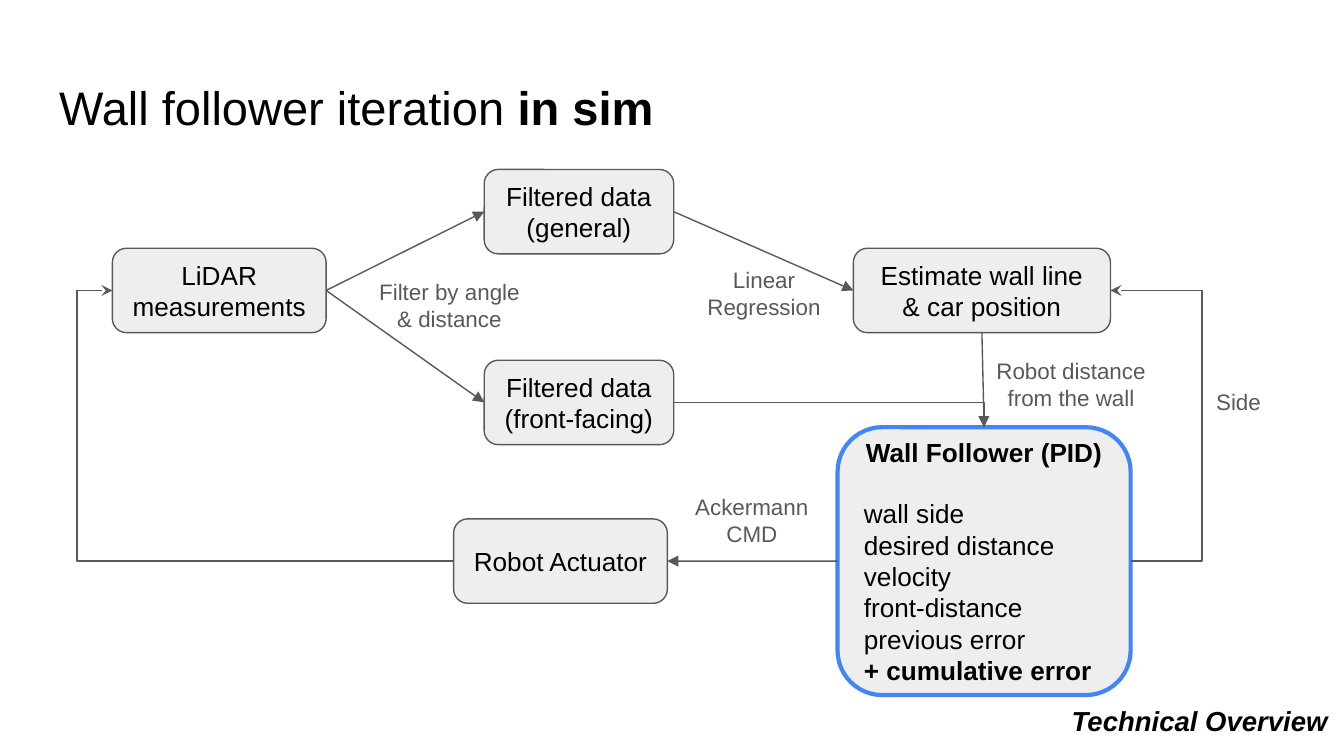
from dataclasses import dataclass

from lxml import etree
from pptx import Presentation
from pptx.dml.color import RGBColor
from pptx.enum import shapes, text
from pptx.oxml import ns
from pptx.util import Pt

TOP, LEFT, BOTTOM, RIGHT = range(4)
CENTER = text.PP_ALIGN.CENTER


@dataclass(frozen=True)
class Theme:
    """Colours, font and type sizes of the slide."""
    font: str = "Arial"
    ink: str = "000000"
    muted: str = "595959"
    fill: str = "EEEEEE"
    accent: str = "4285F4"
    title: float = 25.2
    body: float = 14
    label: float = 12
    footer: float = 14.7
    inset: float = 7.2
    thin: float = 0.75
    thick: float = 2.25


T = Theme()


def add_run(p, words, size=T.body, color=T.ink, bold=False, italic=False):
    """Append a formatted run to a paragraph."""
    r = p.add_run()
    r.text = words
    f = r.font
    f.name, f.size, f.bold, f.italic = T.font, Pt(size), bold, italic
    f.color.rgb = RGBColor.from_string(color)
    return r


def set_frame(tf, anchor=text.MSO_ANCHOR.TOP):
    """Give a text frame the common insets, wrapping and anchor."""
    tf.word_wrap = True
    tf.auto_size = text.MSO_AUTO_SIZE.NONE
    tf.vertical_anchor = anchor
    tf.margin_left = tf.margin_right = tf.margin_top = tf.margin_bottom = Pt(T.inset)
    return tf


def add_title(s, box, plain, strong):
    """Place the title with its closing words in bold."""
    sp = s.shapes.title
    sp.left, sp.top, sp.width, sp.height = map(Pt, box)
    p = set_frame(sp.text_frame).paragraphs[0]
    p.alignment = text.PP_ALIGN.LEFT
    add_run(p, plain, size=T.title)
    add_run(p, strong, size=T.title, bold=True)


def add_text(s, box, words, align=CENTER, **style):
    """Place a one-paragraph text box."""
    tf = set_frame(s.shapes.add_textbox(*map(Pt, box)).text_frame)
    p = tf.paragraphs[0]
    p.alignment = align
    add_run(p, words, **style)


def add_node(s, box, words, bold=False, line=T.muted, width=T.thin):
    """Place a rounded box with a centred heading."""
    sp = s.shapes.add_shape(shapes.MSO_SHAPE.ROUNDED_RECTANGLE, *map(Pt, box))
    sp.shadow.inherit = False
    sp.fill.solid()
    sp.fill.fore_color.rgb = RGBColor.from_string(T.fill)
    sp.line.color.rgb = RGBColor.from_string(line)
    sp.line.width = Pt(width)
    p = set_frame(sp.text_frame, text.MSO_ANCHOR.MIDDLE).paragraphs[0]
    p.alignment = CENTER
    add_run(p, words, bold=bold)
    return sp


def add_controller(s, box, heading, items):
    """Place the highlighted node with its list, the last item in bold."""
    sp = add_node(s, box, heading, bold=True, line=T.accent, width=T.thick)
    for i, item in enumerate(items):
        p = sp.text_frame.add_paragraph()
        p.alignment = text.PP_ALIGN.LEFT
        p.space_before = Pt(0 if i else 16)
        add_run(p, item, bold=item == items[-1])
    return sp


def add_flow(s, start, end, kind="line", head="triangle", via=None):
    """Join two (node, site) pairs, routing a loop through x = via."""
    c = s.shapes.add_connector(shapes.MSO_CONNECTOR.STRAIGHT, 0, 0, 0, 0)
    c.begin_connect(*start)
    c.end_connect(*end)
    c.line.color.rgb = RGBColor.from_string(T.muted)
    c.line.width = Pt(T.thin)
    pr = c._element.spPr
    geom = pr.find(ns.qn("a:prstGeom"))
    geom.set("prst", kind)
    if via is not None:
        ratio = (Pt(via) - c.begin_x) / (c.end_x - c.begin_x)
        av = geom.find(ns.qn("a:avLst"))
        etree.SubElement(av, ns.qn("a:gd"), name="adj1", fmla=f"val {round(ratio * 100000)}")
        xfrm = pr.find(ns.qn("a:xfrm"))
        xfrm.attrib.clear()
        xfrm.set("rot", "10800000")
    if head:
        etree.SubElement(c.line._get_or_add_ln(), ns.qn("a:tailEnd"), type=head)
    etree.SubElement(pr, ns.qn("a:effectLst"))


def add_diagram(s, box):
    """Draw the control loop inside the box."""
    x, y, w, h = box
    tall = 45.2

    def at(dx, dy, width, height=tall):
        return x + dx, y + dy, width, height

    lidar = add_node(s, at(19, 42.2, 114.5), "LiDAR measurements")
    general = add_node(s, at(218.2, 0, 101.5), "Filtered data (general)")
    front = add_node(s, at(218.2, 102.2, 101.5), "Filtered data (front-facing)")
    estimate = add_node(s, at(416, 42.2, 137.7), "Estimate wall line & car position")
    actuator = add_node(s, at(201.8, 187.2, 114.5), "Robot Actuator")
    pid = add_controller(s, at(407.5, 138.1, 157, h - 138.1), "Wall Follower (PID)", [
        "wall side", "desired distance", "velocity", "front-distance",
        "previous error", "+ cumulative error"])

    for start, end in [
        ((lidar, RIGHT), (general, LEFT)),
        ((lidar, RIGHT), (front, LEFT)),
        ((general, RIGHT), (estimate, LEFT)),
        ((estimate, BOTTOM), (pid, TOP)),
        ((pid, LEFT), (actuator, RIGHT)),
    ]:
        add_flow(s, start, end)
    add_flow(s, (front, RIGHT), (pid, TOP), kind="bentConnector2", head=None)
    for start, end, via in [
        ((actuator, LEFT), (lidar, LEFT), x),
        ((pid, RIGHT), (estimate, RIGHT), x + w),
    ]:
        add_flow(s, start, end, kind="bentConnector3", head="stealth", via=via)

    for words, spot in [
        ("Filter by angle & distance", at(154.6, 51, 90, 44)),
        ("Linear Regression", at(323.1, 44.6, 90, 44)),
        ("Robot distance from the wall", at(472.9, 93.5, 119.5, 44)),
        ("Ackermann CMD", at(316.6, 166.2, 90, 44)),
        ("Side", at(577.3, 110.1, 90, 29)),
    ]:
        add_text(s, spot, words, size=T.label, color=T.muted)


def main():
    """Build and save the slide."""
    prs = Presentation()
    prs.slide_width, prs.slide_height = Pt(720), Pt(405)
    s = prs.slides.add_slide(prs.slide_layouts[5])
    add_title(s, (24.5, 35, 671, 45), "Wall follower iteration ", "in sim")
    add_diagram(s, (41.2, 90.8, 602.7, 281.6))
    add_text(s, (567, 370, 159, 35), "Technical Overview", align=text.PP_ALIGN.LEFT,
             size=T.footer, bold=True, italic=True)
    prs.save("out.pptx")


if __name__ == "__main__":
    main()
